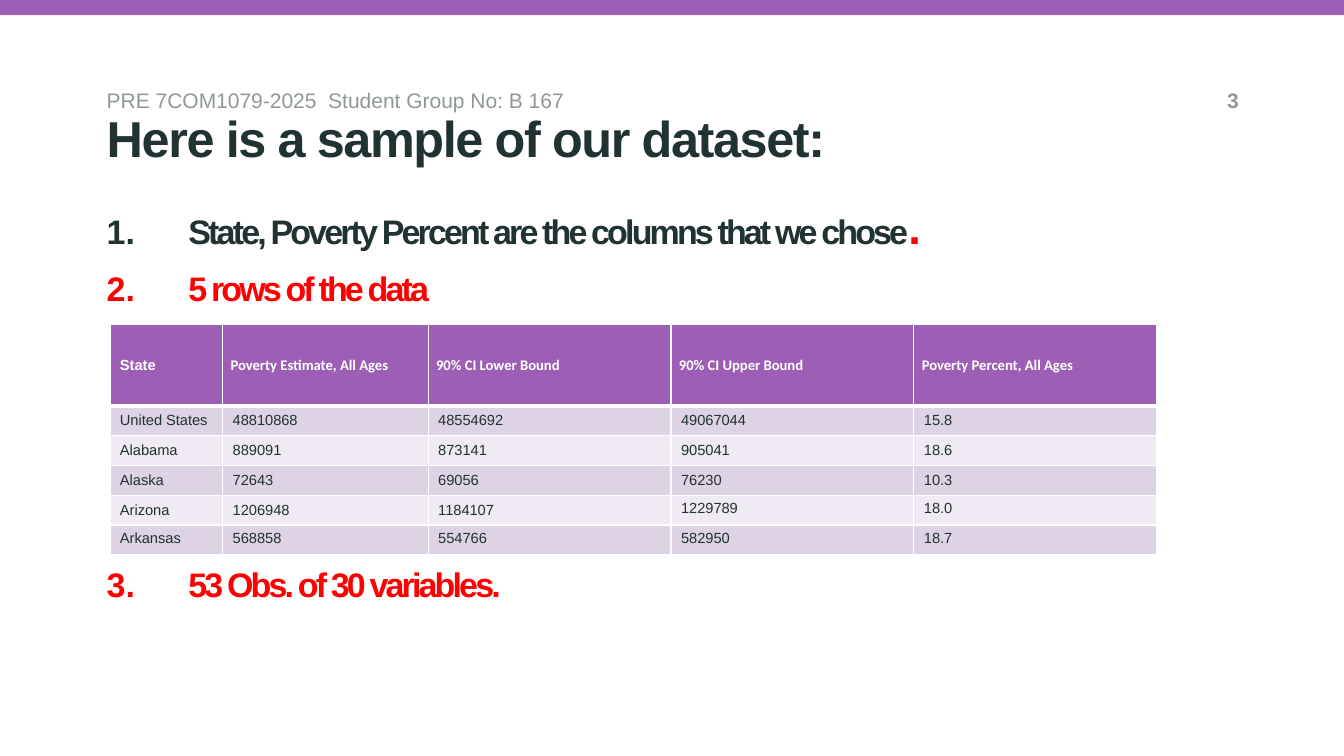
from dataclasses import dataclass

from lxml import etree
from pptx import Presentation
from pptx.dml.color import RGBColor
from pptx.enum.shapes import MSO_SHAPE
from pptx.enum.text import MSO_ANCHOR, MSO_AUTO_SIZE, PP_ALIGN
from pptx.oxml.ns import qn
from pptx.util import Cm, Pt

RECTANGLE = MSO_SHAPE.RECTANGLE
TOP, MIDDLE = MSO_ANCHOR.TOP, MSO_ANCHOR.MIDDLE
LEFT, RIGHT = PP_ALIGN.LEFT, PP_ALIGN.RIGHT
NO_AUTOFIT = MSO_AUTO_SIZE.NONE

PURPLE, INK, GREY, RED, WHITE = "9C5FB5", "203232", "8F9898", "FF0000", "FFFFFF"
BANDS = ("DED2E5", "EFEAF3")
LEFT_EDGE = 2.69
LINE_HEIGHT = 28.8
TABLE_LINES = 6

HEADINGS = (
    "State",
    "Poverty Estimate, All Ages",
    "90% CI Lower Bound",
    "90% CI Upper Bound",
    "Poverty Percent, All Ages",
)
STATES = (
    ("United States", "48810868", "48554692", "49067044", "15.8"),
    ("Alabama", "889091", "873141", "905041", "18.6"),
    ("Alaska", "72643", "69056", "76230", "10.3"),
    ("Arizona", "1206948", "1184107", "1229789", "18.0"),
    ("Arkansas", "568858", "554766", "582950", "18.7"),
)
COLUMN_WIDTHS = (2.84, 5.18, 6.12, 6.12, 6.12)
HEADER_HEIGHT, ROW_HEIGHT = 2.05, 0.75
FIRST_TOP_ANCHORED = (4, 3)


@dataclass
class Span:
    text: str
    size: float
    color: str
    bold: bool = False
    spacing: int = 0
    font: str = "Arial"


@dataclass
class Label:
    span: Span
    left: float
    width: float
    align: PP_ALIGN = LEFT


@dataclass
class Item:
    spans: tuple[Span, ...]
    lines_before: int = 0


LABELS = (
    Label(Span("PRE 7COM1079-2025  Student Group No: B 167", 15, GREY), LEFT_EDGE, 19.94),
    Label(Span("3", 15, GREY, bold=True), 29.49, 1.73, RIGHT),
)
ITEMS = (
    Item((
        Span("State, Poverty Percent are the columns that we chose", 24.3, INK, True, -2),
        Span(".", 32.4, RED, True, -2),
    )),
    Item((Span("5 rows of the data", 24.3, RED, True, -2),)),
    Item((Span("53 Obs. of 30 variables.", 24.3, RED, True, -2),), TABLE_LINES),
)


def rgb(value: str) -> RGBColor:
    return RGBColor.from_string(value)


def apply(target, values: dict) -> None:
    for name, value in values.items():
        setattr(target, name, value)


def add_span(para, span: Span) -> None:
    run = para.add_run()
    run.text = span.text
    apply(run.font, {"name": span.font, "size": Pt(span.size), "bold": span.bold})
    run.font.color.rgb = rgb(span.color)
    if span.spacing:
        run._r.get_or_add_rPr().set("spc", str(span.spacing * 100))


def prepare_frame(box):
    frame = box.text_frame
    apply(frame, {
        "word_wrap": True, "auto_size": NO_AUTOFIT, "vertical_anchor": TOP,
        "margin_left": 0, "margin_right": 0, "margin_top": 0, "margin_bottom": 0,
    })
    return frame


def add_bar(page, width: int) -> None:
    bar = page.shapes.add_shape(RECTANGLE, 0, 0, width, Cm(0.38))
    bar.shadow.inherit = False
    bar.fill.solid()
    bar.fill.fore_color.rgb = rgb(PURPLE)
    bar.line.fill.background()


def format_title(title) -> None:
    apply(title, {
        "left": Cm(LEFT_EDGE), "top": Cm(3.2), "width": Cm(27.1), "height": Cm(0.64),
    })
    para = prepare_frame(title).paragraphs[0]
    apply(para, {"alignment": LEFT, "line_spacing": Pt(LINE_HEIGHT), "space_before": Pt(0)})
    add_span(para, Span("Here is a sample of our dataset:", 36, INK, True, -1))


def add_label(page, label: Label) -> None:
    box = page.shapes.add_textbox(Cm(label.left), Cm(2.21), Cm(label.width), Cm(0.64))
    para = prepare_frame(box).paragraphs[0]
    para.alignment = label.align
    add_span(para, label.span)


def number_paragraph(para) -> None:
    properties = para._p.get_or_add_pPr()
    indent = Cm(2.06)
    properties.set("marL", str(indent))
    properties.set("indent", str(-indent))
    etree.SubElement(properties, qn("a:buFont"), typeface="+mj-lt")
    etree.SubElement(properties, qn("a:buAutoNum"), type="arabicPeriod")


def add_list(page, items: tuple[Item, ...]) -> None:
    box = page.shapes.add_textbox(Cm(LEFT_EDGE), Cm(5.38), Cm(27.69), Cm(10.2))
    frame = prepare_frame(box)
    for index, item in enumerate(items):
        para = frame.add_paragraph() if index else frame.paragraphs[0]
        apply(para, {
            "line_spacing": Pt(LINE_HEIGHT),
            "space_before": Pt(item.lines_before * LINE_HEIGHT),
            "space_after": Pt(9.9),
        })
        number_paragraph(para)
        for span in item.spans:
            add_span(para, span)


def add_borders(cell, row: int) -> None:
    properties = cell._tc.get_or_add_tcPr()
    widths = {"lnL": 1, "lnR": 1, "lnT": 3 if row == 1 else 1, "lnB": 3 if row == 0 else 1}
    for side, width in widths.items():
        line = etree.SubElement(properties, qn(f"a:{side}"), w=str(Pt(width)))
        fill = etree.SubElement(line, qn("a:solidFill"))
        etree.SubElement(fill, qn("a:srgbClr"), val=WHITE)


def fill_cell(cell, row: int, column: int, text: str) -> None:
    header = row == 0
    add_borders(cell, row)
    cell.fill.solid()
    cell.fill.fore_color.rgb = rgb(PURPLE if header else BANDS[(row - 1) % 2])
    cell.vertical_anchor = TOP if (row, column) >= FIRST_TOP_ANCHORED else MIDDLE
    tight = header and column > 0
    if tight:
        apply(cell, {
            "margin_left": Cm(0.2), "margin_right": Cm(0.03),
            "margin_top": Cm(0.03), "margin_bottom": 0,
        })
    font = "Calibri" if tight else "Arial"
    color = WHITE if header else INK
    add_span(cell.text_frame.paragraphs[0], Span(text, 10.5, color, header, font=font))


def add_poverty_table(page) -> None:
    rows = (HEADINGS, *STATES)
    heights = [HEADER_HEIGHT] + [ROW_HEIGHT] * len(STATES)
    table = page.shapes.add_table(
        len(rows), len(HEADINGS), Cm(2.77), Cm(8.18), Cm(sum(COLUMN_WIDTHS)), Cm(sum(heights))
    ).table
    for column, width in zip(table.columns, COLUMN_WIDTHS):
        column.width = Cm(width)
    for row, height in zip(table.rows, heights):
        row.height = Cm(height)
    for row, texts in enumerate(rows):
        for column, text in enumerate(texts):
            fill_cell(table.cell(row, column), row, column, text)


def main() -> None:
    deck = Presentation()
    apply(deck, {"slide_width": Cm(33.87), "slide_height": Cm(19.05)})
    page = deck.slides.add_slide(deck.slide_layouts.get_by_name("Title Only"))
    add_bar(page, deck.slide_width)
    format_title(page.shapes.title)
    for label in LABELS:
        add_label(page, label)
    add_list(page, ITEMS)
    add_poverty_table(page)
    deck.save("out.pptx")


if __name__ == "__main__":
    main()
